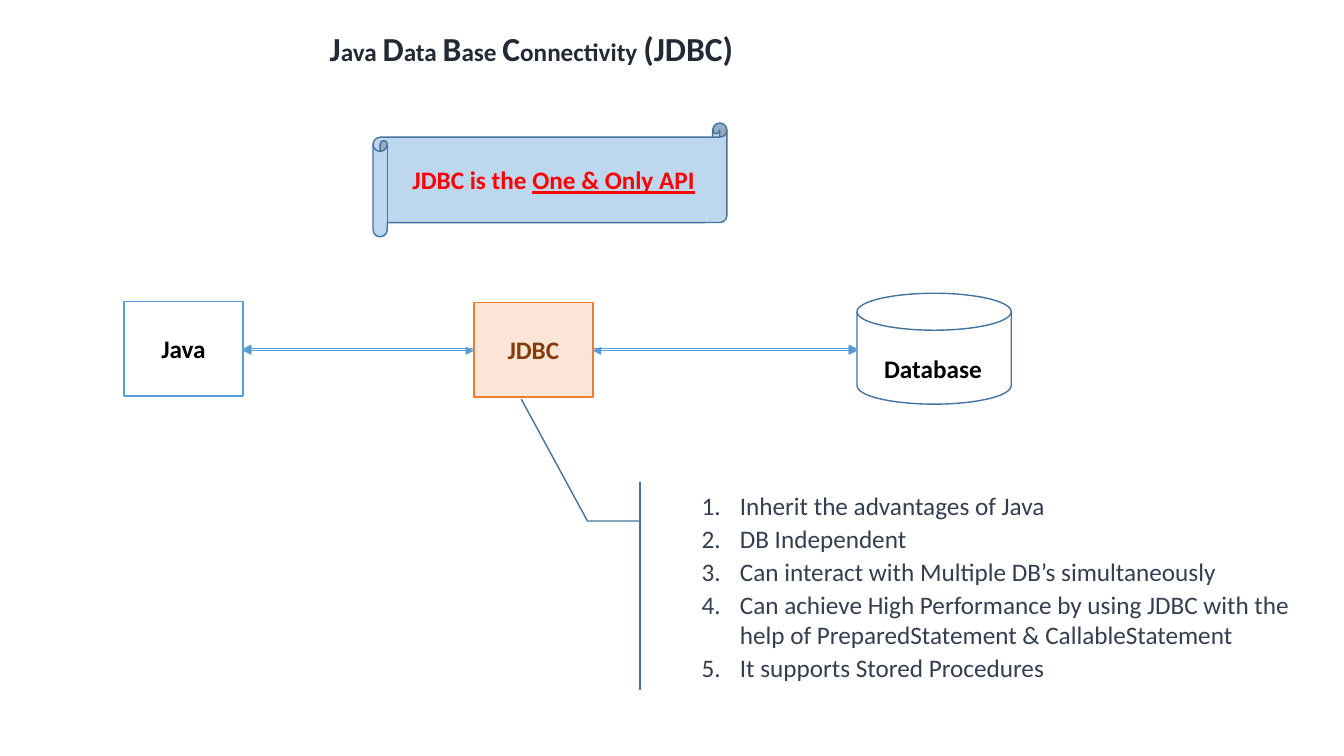
import pptx
import pptx.util
import pptx.dml.color
import pptx.enum.shapes
import pptx.enum.text
import pptx.oxml
import pptx.oxml.ns

Inches, Pt = pptx.util.Inches, pptx.util.Pt
RGBColor = pptx.dml.color.RGBColor
SHAPE = pptx.enum.shapes.MSO_SHAPE
ALIGN = pptx.enum.text.PP_ALIGN
ANCHOR = pptx.enum.text.MSO_ANCHOR

BLACK = RGBColor(0x00, 0x00, 0x00)
WHITE = RGBColor(0xFF, 0xFF, 0xFF)
RED = RGBColor(0xFF, 0x00, 0x00)
BLUE = RGBColor(0x5B, 0x9B, 0xD5)
DEEP_BLUE = RGBColor(0x43, 0x73, 0x9E)
PALE_BLUE = RGBColor(0xBD, 0xD7, 0xEE)
ORANGE = RGBColor(0xED, 0x7D, 0x31)
PALE_ORANGE = RGBColor(0xFB, 0xE5, 0xD6)
BROWN = RGBColor(0x84, 0x3C, 0x0B)
NAVY = RGBColor(0x22, 0x2A, 0x35)
SLATE = RGBColor(0x33, 0x3F, 0x50)

deck = pptx.Presentation()
deck.slide_width, deck.slide_height = Inches(13.33), Inches(7.5)
slide = deck.slides.add_slide(deck.slide_layouts[5])


def write(holder, paragraphs, color, bold=True, align=ALIGN.CENTER, numbered=False):
    """Each paragraph is a list of (text, size, underlined) runs."""
    frame = holder.text_frame
    frame.vertical_anchor = ANCHOR.MIDDLE
    for index, runs in enumerate(paragraphs):
        paragraph = frame.paragraphs[0] if index == 0 else frame.add_paragraph()
        paragraph.alignment = align
        for text, size, underlined in runs:
            run = paragraph.add_run()
            run.text = text
            run.font.name, run.font.size = "Calibri", Pt(size)
            run.font.bold, run.font.underline = bold, underlined
            run.font.color.rgb = color
        if numbered:
            paragraph.space_before = paragraph.space_after = Pt(1)
            properties = paragraph._p.get_or_add_pPr()
            properties.set("marL", str(Inches(0.38)))
            properties.set("indent", str(-Inches(0.38)))
            number = pptx.oxml.parse_xml(
                f'<a:buAutoNum {pptx.oxml.ns.nsdecls("a")} type="arabicPeriod"/>')
            properties.append(number)


def draw(kind, left, top, width, height, line, fill=None):
    shape = slide.shapes.add_shape(
        kind, Inches(left), Inches(top), Inches(width), Inches(height))
    shape.shadow.inherit = False
    shape.line.color.rgb, shape.line.width = line, Pt(1)
    if fill is None:
        shape.fill.background()
    else:
        shape.fill.solid()
        shape.fill.fore_color.rgb = fill
    return shape


# Title with enlarged initials
title = slide.shapes.title
title.left, title.top = Inches(3.17), Inches(0.23)
title.width, title.height = Inches(4.24), Inches(0.5)
title.text_frame.word_wrap = False
title.text_frame.auto_size = pptx.enum.text.MSO_AUTO_SIZE.NONE
title_parts = ["J", "ava ", "D", "ata ", "B", "ase ", "C", "onnectivity ", "(JDBC)"]
write(title, [[(part, 18 if i % 2 else 24, False) for i, part in enumerate(title_parts)]],
      NAVY, align=ALIGN.LEFT)

# Java and the database
java = draw(SHAPE.RECTANGLE, 1.23, 2.99, 1.18, 0.94, BLUE, WHITE)
write(java, [[("Java", 18, False)]], BLACK)
draw(SHAPE.FLOWCHART_MAGNETIC_DISK, 8.5, 2.91, 1.53, 1.1, DEEP_BLUE)
database_label = slide.shapes.add_textbox(
    Inches(8.67), Inches(3.46), Inches(1.18), Inches(0.4))
database_label.text_frame.word_wrap = False
write(database_label, [[("Database", 18, False)]], BLACK, align=ALIGN.LEFT)

# Two-way arrows: the long one passes behind the JDBC box
for start, end, y, weight in [(2.41, 8.5, 3.46, 0.5), (2.41, 4.7, 3.48, 1), (5.88, 8.5, 3.48, 1)]:
    arrow = slide.shapes.add_connector(
        pptx.enum.shapes.MSO_CONNECTOR.STRAIGHT,
        Inches(start), Inches(y), Inches(end), Inches(y))
    arrow.line.color.rgb, arrow.line.width = BLUE, Pt(weight)
    outline = arrow.line._get_or_add_ln()
    for tag in ("headEnd", "tailEnd"):
        outline.append(pptx.oxml.parse_xml(
            f'<a:{tag} {pptx.oxml.ns.nsdecls("a")} type="triangle"/>'))
    arrow._element.spPr.append(pptx.oxml.parse_xml(
        f'<a:effectLst {pptx.oxml.ns.nsdecls("a")}/>'))

jdbc = draw(SHAPE.RECTANGLE, 4.7, 3, 1.18, 0.94, ORANGE, PALE_ORANGE)
write(jdbc, [[("JDBC", 18, False)]], BROWN)

# Scroll banner
banner = draw(SHAPE.HORIZONTAL_SCROLL, 3.7, 1.22, 3.51, 1.13, DEEP_BLUE, PALE_BLUE)
write(banner, [[("JDBC is the ", 18, False), ("One & Only API", 18, True)]], RED)

# Callout with the advantages of JDBC
advantages = draw(SHAPE.LINE_CALLOUT_2_ACCENT_BAR, 6.86, 4.78, 6.19, 2.07, DEEP_BLUE, WHITE)
for index, value in enumerate([0.188, -0.083, 0.188, -0.167, -0.396, -0.273]):
    advantages.adjustments[index] = value
# The callout draws its own border only on the accent bar and leader
points = [
    "Inherit the advantages of Java",
    "DB Independent",
    "Can interact with Multiple DB’s simultaneously",
    "Can achieve High Performance by using JDBC with the help of "
    "PreparedStatement & CallableStatement",
    "It supports Stored Procedures",
]
write(advantages, [[(point, 18, False)] for point in points], SLATE,
      bold=False, align=ALIGN.LEFT, numbered=True)

deck.save("out.pptx")
